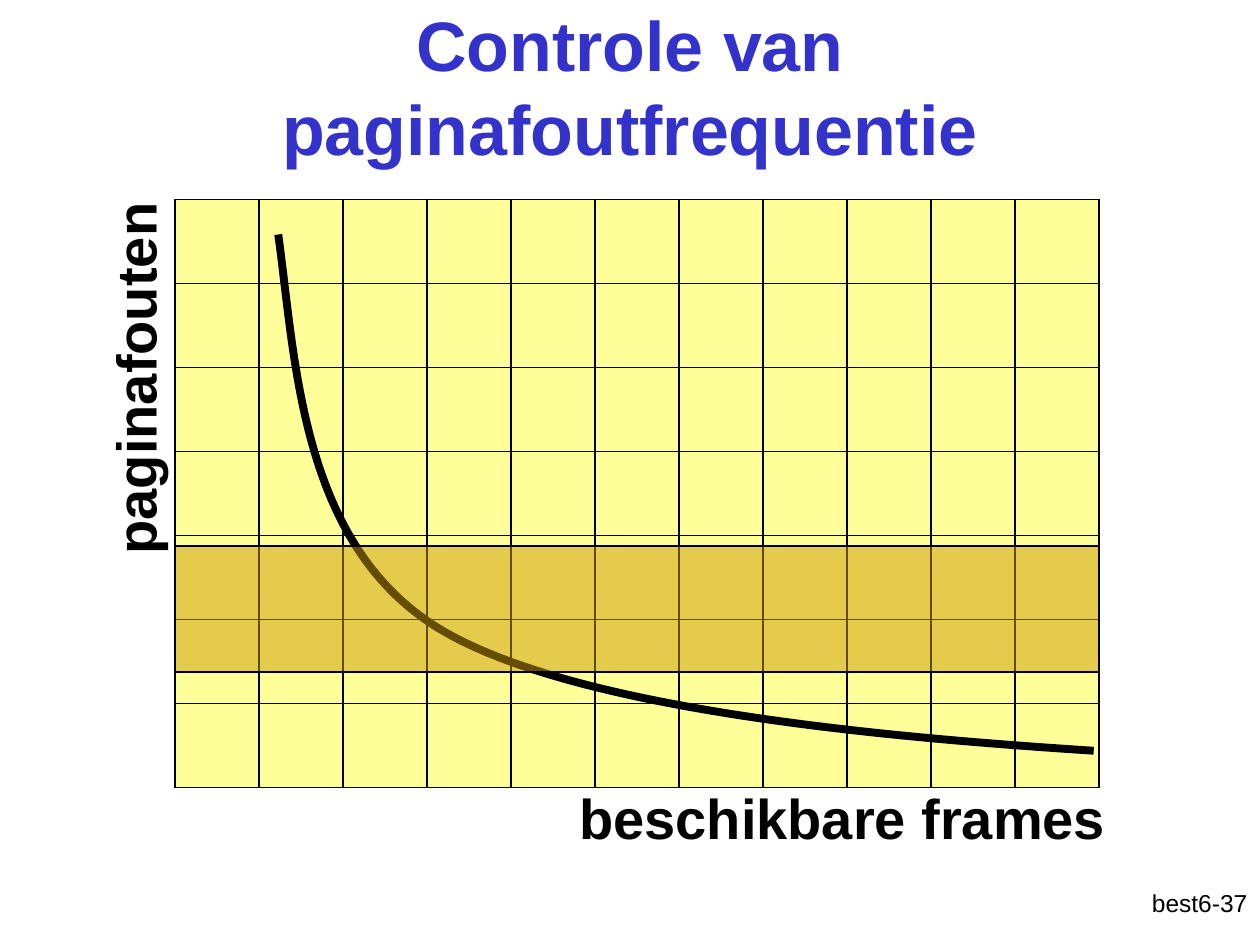
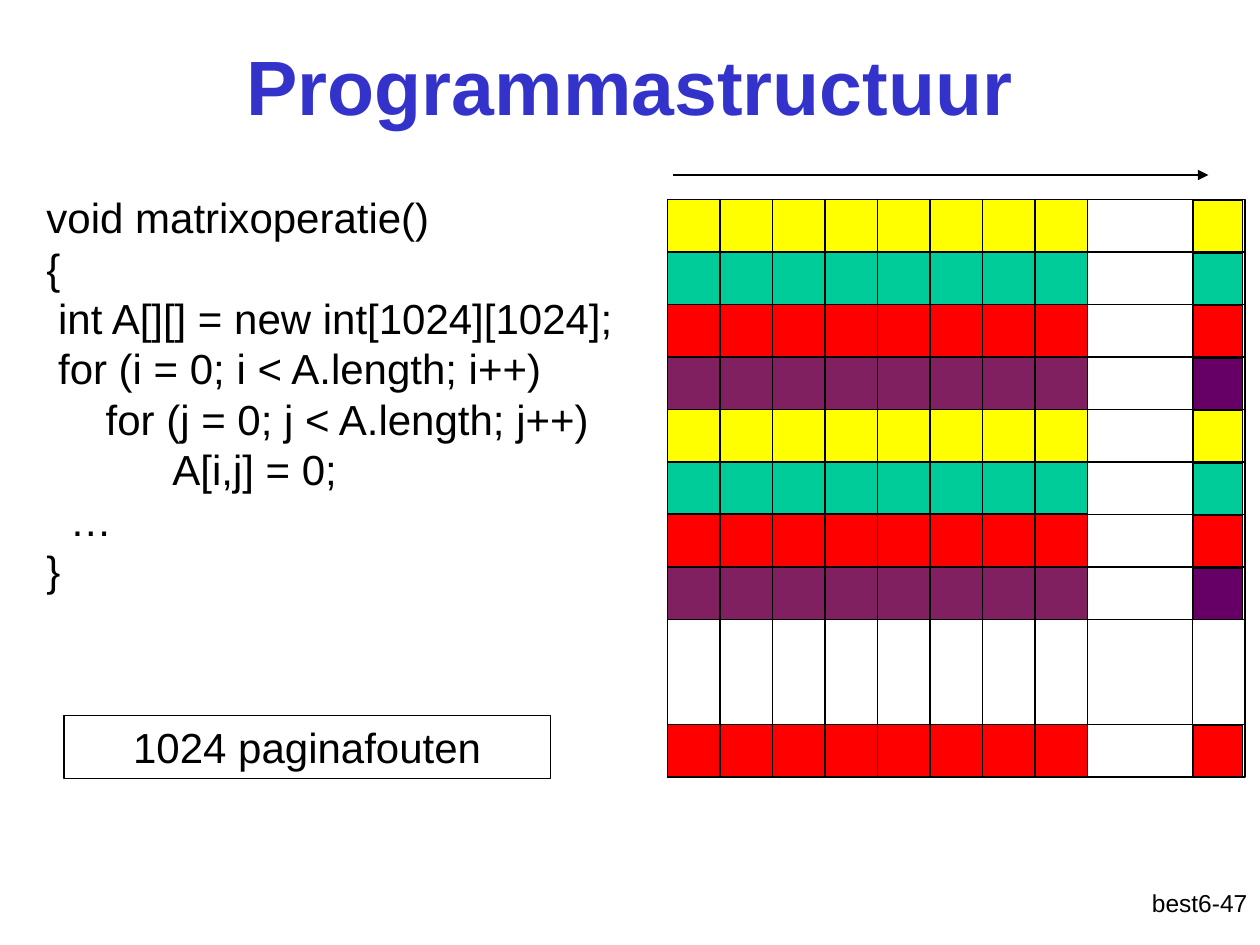
from pptx import Presentation
from pptx.dml.color import RGBColor
from pptx.enum.shapes import MSO_CONNECTOR, MSO_SHAPE
from pptx.enum.text import MSO_ANCHOR, MSO_AUTO_SIZE, PP_ALIGN
from pptx.oxml.ns import qn
from pptx.util import Pt
from lxml import etree

LINE, RECT = MSO_CONNECTOR.STRAIGHT, MSO_SHAPE.RECTANGLE
LEFT, MID, RIGHT = PP_ALIGN.LEFT, PP_ALIGN.CENTER, PP_ALIGN.RIGHT
TOP, CENTER = MSO_ANCHOR.TOP, MSO_ANCHOR.MIDDLE
BLACK, BLUE, YELLOW, GREEN, RED = "000000", "3333CC", "FFFF00", "00CC99", "FF0000"
PLUM, PURPLE = "802060", "660066"
PAPER, GOLD = "FFFF99", "CC9900"


def paint(part, fill=None, width=0.75):
    """Give a shape or connector a black line, its fill and no shadow."""
    part.line.color.rgb = RGBColor.from_string(BLACK)
    part.line.width = Pt(width)
    if hasattr(part, "fill"):
        part.shadow.inherit = False
        if fill:
            part.fill.solid()
            part.fill.fore_color.rgb = RGBColor.from_string(fill)
        else:
            part.fill.background()
    else:
        etree.SubElement(part._element.spPr, qn("a:effectLst"))
    return part


def write(shape, lines, size, color=BLACK, bold=False, align=LEFT, anchor=TOP, tabs=()):
    """Fill a shape with paragraphs of one style."""
    frame = shape.text_frame
    frame.text = "\n".join(lines)
    frame.word_wrap = True
    frame.auto_size = MSO_AUTO_SIZE.NONE
    frame.vertical_anchor = anchor
    for para in frame.paragraphs:
        para.alignment = align
        if tabs:
            stops = etree.SubElement(para._p.get_or_add_pPr(), qn("a:tabLst"))
            for stop in tabs:
                etree.SubElement(stops, qn("a:tab"), pos=str(Pt(stop)), algn="l")
        style = {"name": "Arial", "size": Pt(size), "bold": bold}
        for run in para.runs:
            for key, value in style.items():
                setattr(run.font, key, value)
            run.font.color.rgb = RGBColor.from_string(color)


deck = Presentation()
deck.slide_width, deck.slide_height = Pt(720), Pt(540)

# Title and page label of each slide
pages = [("Controle van paginafoutfrequentie", 40, "best6-37"),
         ("Programmastructuur", 44, "best6-47")]
for head, size, label in pages:
    slide = deck.slides.add_slide(deck.slide_layouts[5])
    title = slide.shapes.title
    title.left, title.top, title.width, title.height = Pt(54), Pt(3.6), Pt(612), Pt(90)
    write(title, [head], size, BLUE, True, MID, CENTER)
    foot = slide.shapes.add_textbox(Pt(570), Pt(504), Pt(150), Pt(36))
    write(foot, [label], 14, align=RIGHT)
graph, code = [slide.shapes for slide in deck.slides]

# Graph paper
x, y, step, cols, rows = 100, 114, 48, 11, 7
wide, high = cols * step, rows * step
paint(graph.add_shape(RECT, Pt(x), Pt(y), Pt(wide), Pt(high)), PAPER)
for col in range(cols + 1):
    at = Pt(x + col * step)
    paint(graph.add_connector(LINE, at, Pt(y), at, Pt(y + high)))
for row in range(rows + 1):
    at = Pt(y + row * step)
    paint(graph.add_connector(LINE, Pt(x), at, Pt(x + wide), at))

# Axis labels
side = graph.add_textbox(Pt(-34), Pt(190), Pt(222), Pt(46))
side.rotation = 270
write(side, ["paginafouten"], 32, bold=True)
base = graph.add_textbox(Pt(324), Pt(444), Pt(324), Pt(46))
write(base, ["beschikbare frames"], 32, bold=True)

# Fault curve: two cubic segments, each with two handles and an end
knots = [(159, 134), (169, 206), (171.5, 309), (249, 358),
         (327, 407), (517.5, 422), (625, 429)]
pen = graph.build_freeform(Pt(knots[0][0]), Pt(knots[0][1]))
pen.add_line_segments([(Pt(a), Pt(b)) for a, b in knots[1:]], close=False)
curve = paint(pen.convert_to_shape(), width=4.5)
legs = list(curve._element.iter(qn("a:lnTo")))
for i in range(0, len(legs), 3):
    bend = etree.Element(qn("a:cubicBezTo"))
    legs[i].addprevious(bend)
    for leg in legs[i:i + 3]:
        bend.append(leg[0])
        leg.getparent().remove(leg)

# Wanted range, half transparent
band = paint(graph.add_shape(RECT, Pt(x), Pt(312), Pt(wide), Pt(72)), GOLD)
tint = band._element.spPr.find(qn("a:solidFill"))[0]
etree.SubElement(tint, qn("a:alpha"), val="50000")

# Matrix: coloured rows, with a gap before the last row and column
x, y, cell, count = 381.5, 114, 30, 11
end = count * cell
hues = [YELLOW, GREEN, RED, PLUM] * 2
bars = list(enumerate(hues)) + [(10, RED)]
for row, hue in bars:
    paint(code.add_shape(RECT, Pt(x), Pt(y + row * cell), Pt(8 * cell), Pt(cell)), hue, 1)
paint(code.add_shape(RECT, Pt(x), Pt(y), Pt(end), Pt(end)), width=1)
for k in [*range(1, 9), 10]:
    down, along = Pt(y + k * cell), Pt(x + k * cell)
    paint(code.add_connector(LINE, Pt(x), down, Pt(x + end), down), width=1)
    paint(code.add_connector(LINE, along, Pt(y), along, Pt(y + end)), width=1)
for row, hue in bars:
    last = code.add_shape(RECT, Pt(x + 10 * cell), Pt(y + row * cell + 0.5), Pt(28.5), Pt(29.5))
    paint(last, PURPLE if hue == PLUM else hue, 1)

# Scan direction
arrow = paint(code.add_connector(LINE, Pt(384.5), Pt(100), Pt(690.5), Pt(100)), width=1)
etree.SubElement(arrow.get_or_add_ln(), qn("a:tailEnd"), type="triangle")

# Program and its result
lines = ["void matrixoperatie()", "{", " int A[][] = new int[1024][1024];",
         " for (i = 0; i < A.length; i++)", "\t    for (j = 0; j < A.length; j++)",
         "\t\tA[i,j] = 0;", "  …", "}"]
text = code.add_textbox(Pt(19.5), Pt(106), Pt(360), Pt(266))
write(text, lines, 24, tabs=(0, 7.2, 72, 144, 216, 288, 360, 432))
note = paint(code.add_shape(RECT, Pt(36.5), Pt(409), Pt(278), Pt(36)))
write(note, ["1024 paginafouten"], 24, align=MID)

deck.save("out.pptx")
